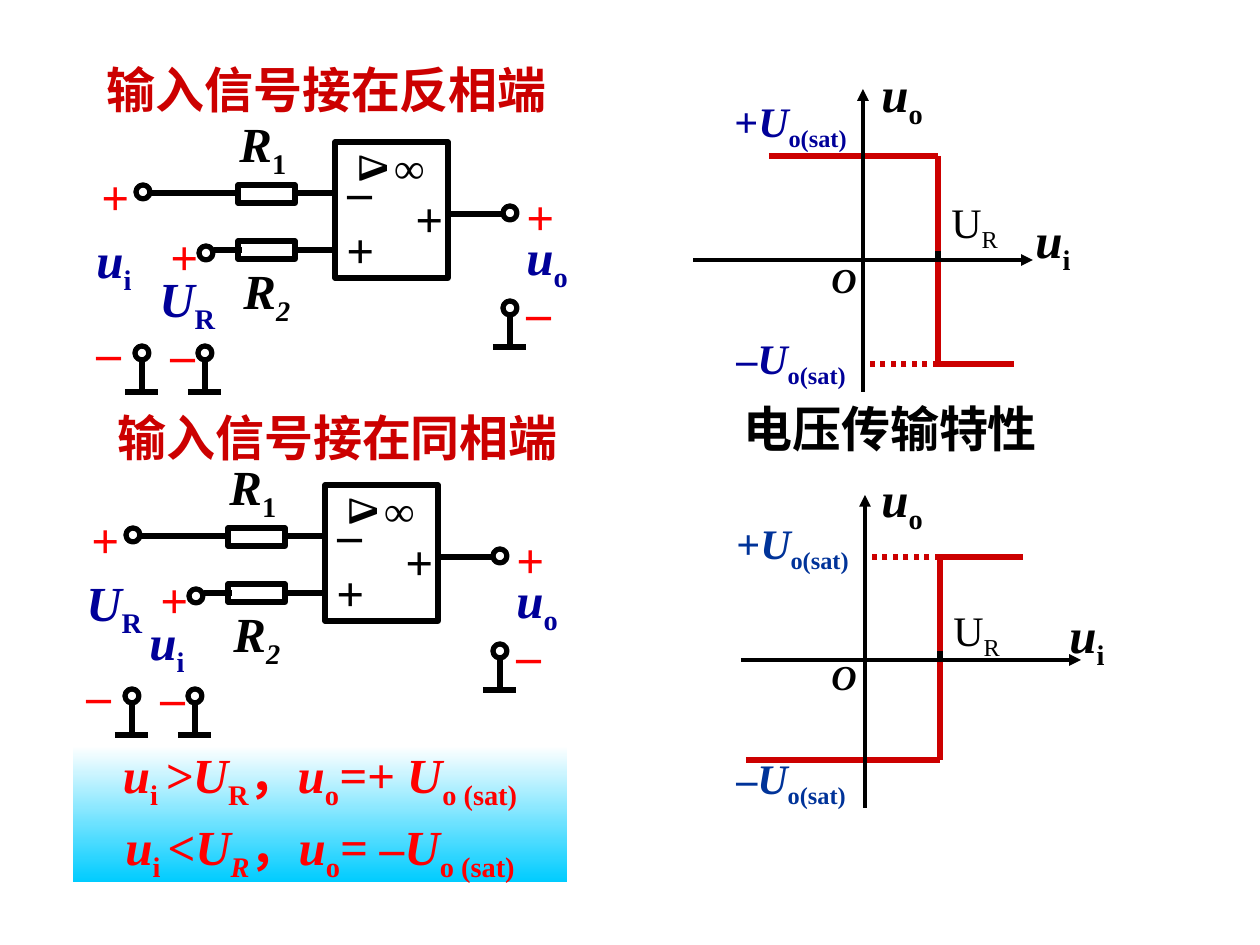
from pptx import Presentation
from pptx.dml.color import RGBColor
from pptx.enum.dml import MSO_LINE
from pptx.enum.shapes import MSO_CONNECTOR, MSO_SHAPE
from pptx.enum.text import PP_ALIGN
from pptx.oxml.ns import qn
from pptx.util import Pt
from lxml.etree import SubElement

PX = 914400 / 126
FONT = "Times New Roman"
COLORS = {"black": "000000", "red": "FF0000", "crimson": "CC0000", "navy": "000099",
          "blue": "003399", "white": "FFFFFF", "cyan": "00CCFF"}

# Rich text: (text, flags) with b = bold, i = italic, s = subscript
U_I = [("u", "bi"), ("i", "bs")]
U_O = [("u", "bi"), ("o", "bs")]
U_REF = [("U", "bi"), ("R", "bs")]
REF_MARK = [("U", ""), ("R", "s")]
R_1 = [("R", "bi"), ("1", "bs")]
R_2 = [("R", "bi"), ("2", "bis")]
PLUS, MINUS, INFINITY, DELTA = ([(sign, "b")] for sign in "+–∞Δ")
SAT_HIGH, SAT_LOW = ([(sign, "b"), ("U", "bi"), ("o(sat)", "bs")] for sign in "+–")
ORIGIN = [("O", "bi")]

TITLES = [("输入信号接在反相端", 94, 53, 470, "crimson"),
          ("输入信号接在同相端", 105, 401, 470, "crimson"),
          ("电压传输特性", 731, 392, 330, "black")]
CONDITIONS = [
    [("u", "bi"), ("i ", "bs"), (">U", "bi"), ("R", "bs"), ("，", "b"),
     ("u", "bi"), ("o", "bs"), ("=+ U", "bi"), ("o (sat)", "bs")],
    [("u", "bi"), ("i ", "bs"), ("<U", "bi"), ("R", "bis"), ("，", "b"),
     ("u", "bi"), ("o", "bs"), ("= –U", "bi"), ("o (sat)", "bs")],
]

# Circuit parts, placed relative to the upper circuit
CIRCUITS = [{"offset": (0, 0), "upper": U_I, "lower": U_REF},
            {"offset": (-10, 343), "upper": U_REF, "lower": U_I}]
BOXES = [(238, 241, 57, 18), (238, 185, 57, 18), (335, 142, 113, 136)]
TERMINALS = [(206, 253), (510, 213), (143, 192)]
GROUNDS = [(510, 308), (205, 353), (142, 353)]
WIRES = [(238, 193, 150, 193), (242, 250, 214, 250), (294, 250, 335, 250),
         (448, 214, 504, 214), (294, 193, 335, 193)]
CIRCUIT_LABELS = [(R_1, 227, 107, 28, "black"), (R_2, 231, 254, 28, "black"),
                  (PLUS, 334, 213, 28, "black"), (PLUS, 403, 182, 28, "black"),
                  (MINUS, 335, 154, 28, "black"), (INFINITY, 382, 135, 24, "black"),
                  (U_O, 514, 220, 28, "navy"),
                  (PLUS, 514, 180, 28, "red"), (MINUS, 514, 275, 28, "red"),
                  (PLUS, 89, 160, 28, "red"), (MINUS, 84, 315, 28, "red"),
                  (PLUS, 158, 220, 28, "red"), (MINUS, 158, 317, 28, "red")]

# Transfer curves: axes cross at origin, the step happens at x = step
PLOTS = [
    {"origin": (863, 260), "x_axis": (693, 1033), "y_axis": (392, 89), "step": 938,
     "start": (769, 156), "end": (1014, 364), "color": "navy",
     "labels": [(U_I, 1023, 203, 28), (U_O, 869, 57, 28), (ORIGIN, 819, 252, 20),
                (REF_MARK, 939, 190, 24)],
     "limits": [(SAT_HIGH, 722, 89, 24), (SAT_LOW, 724, 326, 24)]},
    {"origin": (865, 660), "x_axis": (741, 1081), "y_axis": (808, 495), "step": 940,
     "start": (746, 760), "end": (1023, 557), "color": "blue",
     "labels": [(U_I, 1057, 598, 28), (U_O, 869, 462, 28), (ORIGIN, 819, 649, 20),
                (REF_MARK, 941, 598, 24)],
     "limits": [(SAT_HIGH, 724, 511, 24), (SAT_LOW, 724, 746, 24)]},
]

presentation = Presentation()
presentation.slide_width, presentation.slide_height = 9144000, 6858000
slide = presentation.slides.add_slide(presentation.slide_layouts[6])


def emu(*lengths):
    return [round(length * PX) for length in lengths]


def rgb(name):
    return RGBColor.from_string(COLORS[name])


def write(paragraph, runs, size, color):
    for text, flags in runs:
        run = paragraph.add_run()
        run.text = text
        values = {"name": FONT, "size": Pt(size), "bold": "b" in flags, "italic": "i" in flags}
        for key, value in values.items():
            setattr(run.font, key, value)
        run.font.color.rgb = rgb(color)
        if "s" in flags:
            run.font._element.set("baseline", "-25000")


def label(runs, x, y, size, color, width=190, height=72):
    shape = slide.shapes.add_textbox(*emu(x, y, width, height))
    shape.text_frame.word_wrap = True
    write(shape.text_frame.paragraphs[0], runs, size, color)
    return shape


def line(x1, y1, x2, y2, color="black", width=3, dotted=False, arrow=False):
    connector = slide.shapes.add_connector(MSO_CONNECTOR.STRAIGHT, *emu(x1, y1, x2, y2))
    connector.line.color.rgb = rgb(color)
    connector.line.width = Pt(width)
    if dotted:
        connector.line.dash_style = MSO_LINE.ROUND_DOT
    if arrow:
        SubElement(connector.line._get_or_add_ln(), qn("a:tailEnd"), type="triangle")
    SubElement(connector._element.spPr, qn("a:effectLst"))


def outline(kind, x, y, width, height):
    shape = slide.shapes.add_shape(kind, *emu(x, y, width, height))
    shape.shadow.inherit = False
    shape.fill.background()
    shape.line.color.rgb = rgb("black")
    shape.line.width = Pt(3)


def terminal(x, y):
    outline(MSO_SHAPE.OVAL, x - 7, y - 7, 14, 14)


def draw_circuit(offset, upper, lower):
    dx, dy = offset
    for x, y, width, height in BOXES:
        outline(MSO_SHAPE.RECTANGLE, x + dx, y + dy, width, height)
    for x1, y1, x2, y2 in WIRES:
        line(x1 + dx, y1 + dy, x2 + dx, y2 + dy)
    for x, y in TERMINALS:
        terminal(x + dx, y + dy)
    for x, y in GROUNDS:
        x, y = x + dx, y + dy
        terminal(x, y)
        line(x, y + 8, x, y + 39)
        line(x - 17, y + 39, x + 16, y + 39)
    inputs = [(upper, 84, 223, 28, "navy"), (lower, 147, 262, 28, "navy")]
    for runs, x, y, size, color in CIRCUIT_LABELS + inputs:
        label(runs, x + dx, y + dy, size, color, width=95)
    amplifier = label(DELTA, 350 + dx, 137 + dy, 24, "black", 52, 63)
    amplifier.text_frame.paragraphs[0].alignment = PP_ALIGN.CENTER
    amplifier.rotation = 90


def draw_plot(origin, x_axis, y_axis, step, start, end, color, labels, limits):
    x0, y0 = origin
    corners = [start, (step, start[1]), (step, end[1]), end]
    for first, second in zip(corners, corners[1:]):
        line(*first, *second, "crimson")
    line(step, end[1], x0, end[1], "crimson", dotted=True)
    line(x_axis[0], y0, x_axis[1], y0, width=2.25, arrow=True)
    line(x0, y_axis[0], x0, y_axis[1], width=2.25, arrow=True)
    line(step, y0 - 9, step, y0)
    for entry in labels:
        label(*entry, "black")
    for entry in limits:
        label(*entry, color)


# Condition panel
panel = slide.shapes.add_shape(MSO_SHAPE.RECTANGLE, *emu(73, 746, 494, 136))
panel.shadow.inherit = False
panel.line.fill.background()
panel.fill.gradient()
panel.fill.gradient_angle = 270
for stop, name, position in zip(panel.fill.gradient_stops, ("white", "cyan"), (0, 1)):
    stop.color.rgb = rgb(name)
    stop.position = position
frame = panel.text_frame
for paragraph, runs in zip((frame.paragraphs[0], frame.add_paragraph()), CONDITIONS):
    paragraph.alignment = PP_ALIGN.CENTER
    write(paragraph, runs, 28, "red")
frame.paragraphs[1].space_before = Pt(3)

# Circuits, transfer curves and titles
for circuit in CIRCUITS:
    draw_circuit(**circuit)
for plot in PLOTS:
    draw_plot(**plot)
for text, x, y, width, color in TITLES:
    label([(text, "b")], x, y, 28, color, width)

presentation.save("out.pptx")
